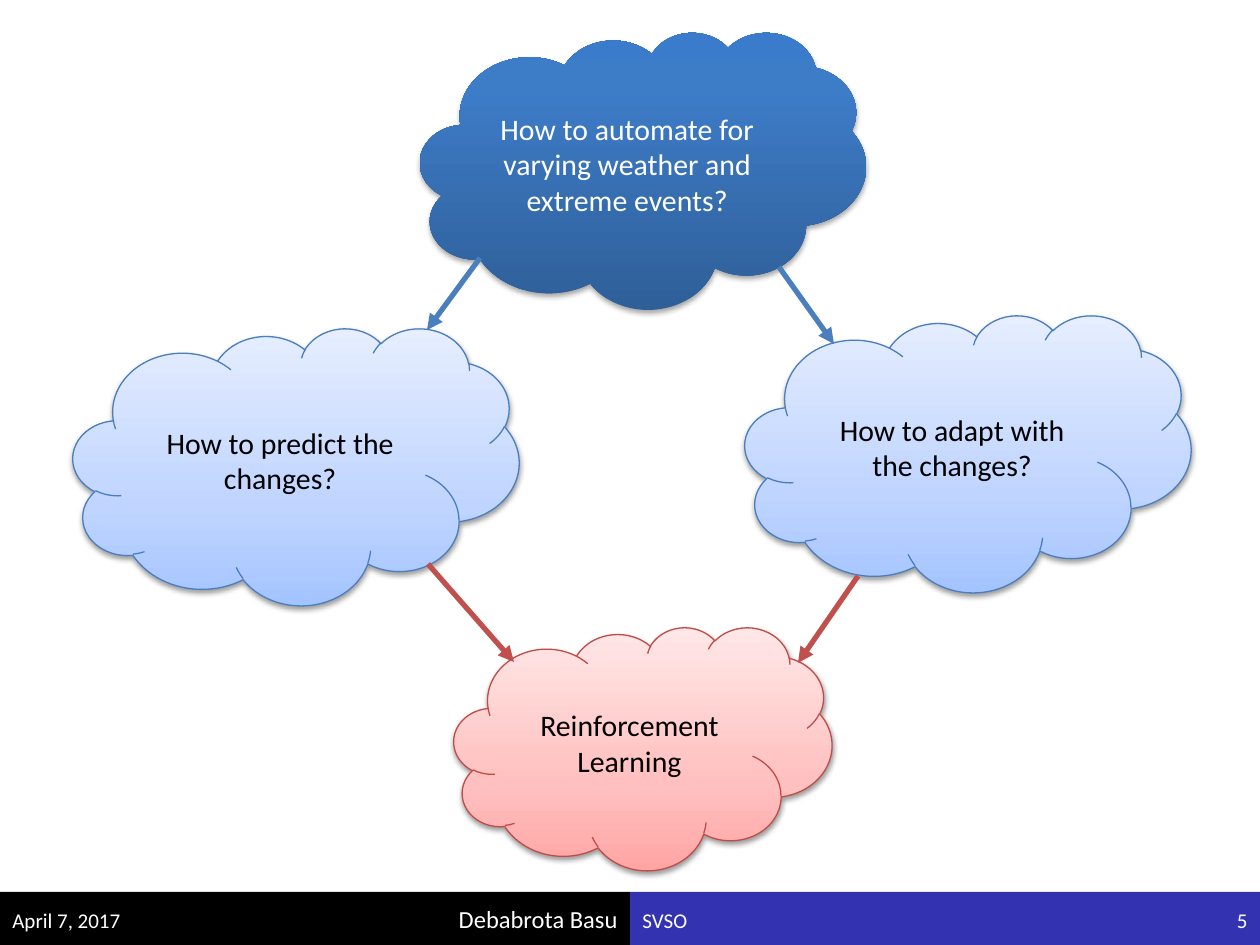
import pptx
import pptx.util
import pptx.dml.color
import pptx.enum.shapes
import pptx.enum.text
import pptx.oxml.ns
from lxml import etree

SIZE = (1260, 945)
FONT = "Calibri"
COLORS = {"navy": "3333B2", "black": "000000", "white": "FFFFFF",
          "blue": "4B7EBC", "red": "C0504D", "rose": "BF4C48"}
STYLES = {
    "question": dict(stops=[(0, "2F5F99"), (80, "3D7CC7"), (100, "3A7CCB")],
                     line=None, text="white", shadow=(35, 1.8)),
    "step": dict(stops=[(0, "A4C4FF"), (35, "BFD4FF"), (100, "E6EEFF")],
                 line="blue", text="black", shadow=(38, 1.6)),
    "answer": dict(stops=[(0, "FFA6A5"), (35, "FFC0BF"), (100, "FFE7E7")],
                   line="rose", text="black", shadow=(38, 1.6)),
}
CLOUDS = [
    ("How to automate for varying weather and extreme events?", "question", (420, 32, 446, 277)),
    ("How to predict the changes?", "step", (73, 328, 446, 277)),
    ("How to adapt with the changes?", "step", (745, 315, 446, 277)),
    ("Reinforcement Learning", "answer", (454, 627, 378, 243)),
]
ARROWS = [
    ("blue", (480, 258), (427, 330)),
    ("blue", (779, 267), (834, 344)),
    ("red", (858, 576), (798, 663)),
    ("red", (428, 564), (514, 662)),
]
BAR_TOP, BAR_HEIGHT = 892, 53
BARS = [("navy", 630), ("black", 0)]
FOOTER = [
    ("Debabrota Basu", 147, 483, 892, 14, "RIGHT"),
    ("April 7, 2017", 0, 147, 895, 12, "LEFT"),
    ("SVSO", 630, 483, 895, 12, "LEFT"),
    ("5", 1113, 147, 895, 12, "RIGHT"),
]


def px(n):
    return pptx.util.Emu(round(n * 914400 / 126))


def box(*values):
    return [px(v) for v in values]


def rgb(name):
    return pptx.dml.color.RGBColor.from_string(COLORS[name])


def child(parent, tag, **attrs):
    el = etree.SubElement(parent, pptx.oxml.ns.qn(tag))
    for key, value in attrs.items():
        el.set(key, str(value))
    return el


def write(sp, text, size, color, align):
    tf = sp.text_frame
    tf.word_wrap = True
    tf.vertical_anchor = pptx.enum.text.MSO_ANCHOR.MIDDLE
    p = tf.paragraphs[0]
    p.text = text
    p.alignment = pptx.enum.text.PP_ALIGN[align]
    p.font.name = FONT
    p.font.size = pptx.util.Pt(size)
    p.font.color.rgb = rgb(color)


def add_bar(shapes, color, left):
    sp = shapes.add_shape(pptx.enum.shapes.MSO_SHAPE.RECTANGLE,
                          *box(left, BAR_TOP, SIZE[0] // 2, BAR_HEIGHT))
    sp.shadow.inherit = False
    sp.fill.solid()
    sp.fill.fore_color.rgb = rgb(color)
    sp.line.fill.background()


def add_cloud(shapes, text, style, place):
    look = STYLES[style]
    sp = shapes.add_shape(pptx.enum.shapes.MSO_SHAPE.CLOUD, *box(*place))
    sp.fill.gradient()
    sp.fill.gradient_angle = 90
    spPr = sp._element.spPr
    stops = spPr.find(".//" + pptx.oxml.ns.qn("a:gsLst"))
    for gs in list(stops):
        stops.remove(gs)
    for pos, color in look["stops"]:
        child(child(stops, "a:gs", pos=pos * 1000), "a:srgbClr", val=color)
    if look["line"]:
        sp.line.color.rgb = rgb(look["line"])
        sp.line.width = pptx.util.Pt(0.75)
    else:
        sp.line.fill.background()
    sp.shadow.inherit = False
    alpha, dist = look["shadow"]
    shadow = child(spPr.find(pptx.oxml.ns.qn("a:effectLst")), "a:outerShdw",
                   blurRad=pptx.util.Pt(3.1), dist=pptx.util.Pt(dist),
                   dir=90 * 60000, rotWithShape=0)
    child(child(shadow, "a:srgbClr", val=COLORS["black"]), "a:alpha", val=alpha * 1000)
    write(sp, text, 17, look["text"], "CENTER")


def add_arrow(shapes, color, start, end):
    line = shapes.add_connector(pptx.enum.shapes.MSO_CONNECTOR.STRAIGHT, *box(*start, *end))
    line.line.color.rgb = rgb(color)
    line.line.width = pptx.util.Pt(3)
    child(line.line._get_or_add_ln(), "a:tailEnd", type="triangle")
    child(line._element.spPr, "a:effectLst")


def main():
    prs = pptx.Presentation()
    prs.slide_width, prs.slide_height = box(*SIZE)
    shapes = prs.slides.add_slide(prs.slide_layouts[6]).shapes
    for bar in BARS:
        add_bar(shapes, *bar)
    for text, left, width, top, size, align in FOOTER:
        sp = shapes.add_textbox(*box(left, top, width, SIZE[1] - top))
        write(sp, text, size, "white", align)
    for cloud in CLOUDS:
        add_cloud(shapes, *cloud)
    for arrow in ARROWS:
        add_arrow(shapes, *arrow)
    prs.save("out.pptx")


if __name__ == "__main__":
    main()
